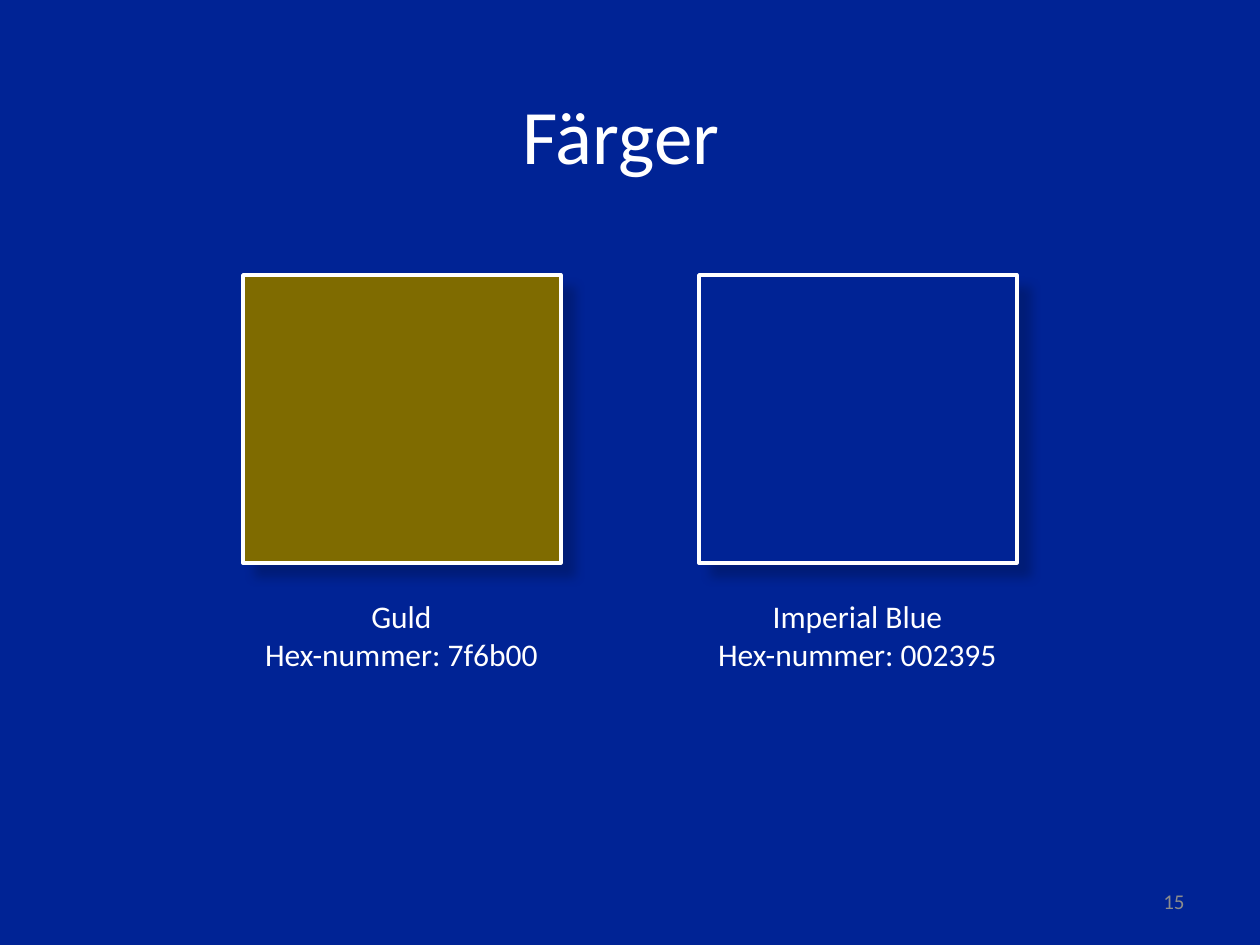
import pptx
import pptx.dml.color
import pptx.enum.shapes
import pptx.enum.text
import pptx.oxml
import pptx.oxml.ns
import pptx.util

RGB = pptx.dml.color.RGBColor
BLUE = RGB(0x00, 0x23, 0x95)
GOLD = RGB(0x7F, 0x6B, 0x00)
WHITE = RGB(0xFF, 0xFF, 0xFF)
GRAY = RGB(0x8C, 0x8C, 0x8C)
ALIGN = pptx.enum.text.PP_ALIGN
MIDDLE = pptx.enum.text.MSO_ANCHOR.MIDDLE
TOP = pptx.enum.text.MSO_ANCHOR.TOP
SCALE = 914400 // 126


def px(*nums):
    return [pptx.util.Emu(num * SCALE) for num in nums]


class Deck:
    font = "Calibri"

    def __init__(self, width, height):
        self.show = pptx.Presentation()
        self.show.slide_width, self.show.slide_height = px(width, height)
        self.slide = None

    def page(self, color):
        self.slide = self.show.slides.add_slide(self.show.slide_layouts[5])
        fill = self.slide.background.fill
        fill.solid()
        fill.fore_color.rgb = color

    def label(self, shape, lines, size, color, align, anchor):
        frame = shape.text_frame
        frame.word_wrap = True
        frame.vertical_anchor = anchor
        for num, line in enumerate(lines):
            para = frame.add_paragraph() if num else frame.paragraphs[0]
            para.alignment = align
            run = para.add_run()
            run.text = line
            run.font.name = self.font
            run.font.size = pptx.util.Pt(size)
            run.font.color.rgb = color

    def title(self, text, box):
        shape = self.slide.shapes.title
        shape.left, shape.top, shape.width, shape.height = px(*box)
        self.label(shape, [text], 44, WHITE, ALIGN.CENTER, MIDDLE)

    def text(self, lines, box, size=18, color=WHITE, align=ALIGN.CENTER, anchor=TOP):
        shape = self.slide.shapes.add_textbox(*px(*box))
        self.label(shape, lines, size, color, align, anchor)

    def swatch(self, color, box):
        kind = pptx.enum.shapes.MSO_SHAPE.RECTANGLE
        shape = self.slide.shapes.add_shape(kind, *px(*box))
        shape.fill.solid()
        shape.fill.fore_color.rgb = color
        shape.line.color.rgb = WHITE
        shape.line.width = pptx.util.Pt(2)
        self.shade(shape)

    def shade(self, shape):
        shape.shadow.inherit = False
        blur, dist = pptx.util.Pt(6), pptx.util.Pt(10)
        effect = shape.element.spPr.find(pptx.oxml.ns.qn("a:effectLst"))
        effect.append(pptx.oxml.parse_xml(
            f'<a:outerShdw {pptx.oxml.ns.nsdecls("a")} blurRad="{blur}" '
            f'dist="{dist}" dir="{45 * 60000}" algn="tl" rotWithShape="0">'
            '<a:srgbClr val="000000"><a:alpha val="20000"/></a:srgbClr>'
            '</a:outerShdw>'))


def main():
    deck = Deck(1260, 945)
    deck.page(BLUE)
    deck.text(["15"], (903, 876, 294, 50), 12, GRAY, ALIGN.RIGHT, MIDDLE)
    deck.title("Färger", (54, 55, 1134, 158))
    step = 456
    for num, (name, color) in enumerate([("Guld", GOLD), ("Imperial Blue", BLUE)]):
        left = 243 + num * step
        deck.swatch(color, (left, 275, 318, 288))
        code = str(color).lower()
        deck.text([name, f"Hex-nummer: {code}"], (left - 30, 591, 377, 89))
    deck.show.save("out.pptx")


if __name__ == "__main__":
    main()
